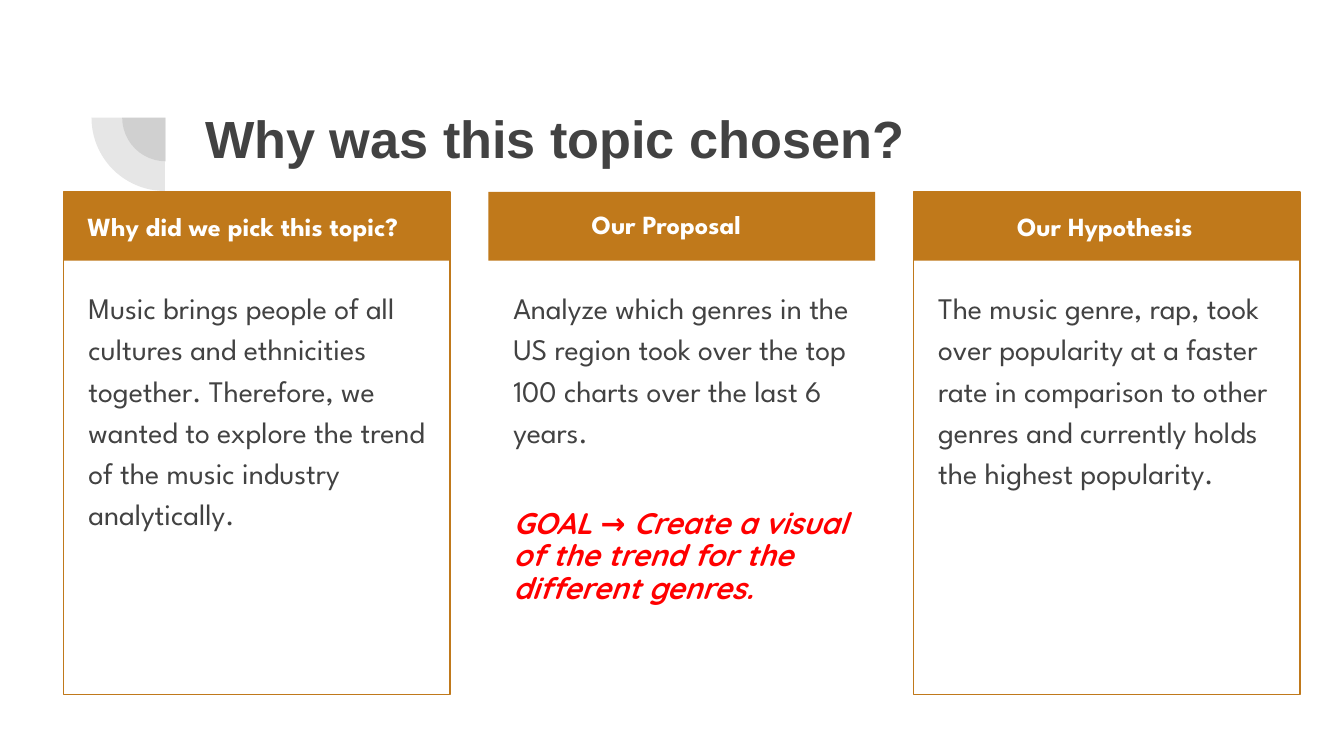
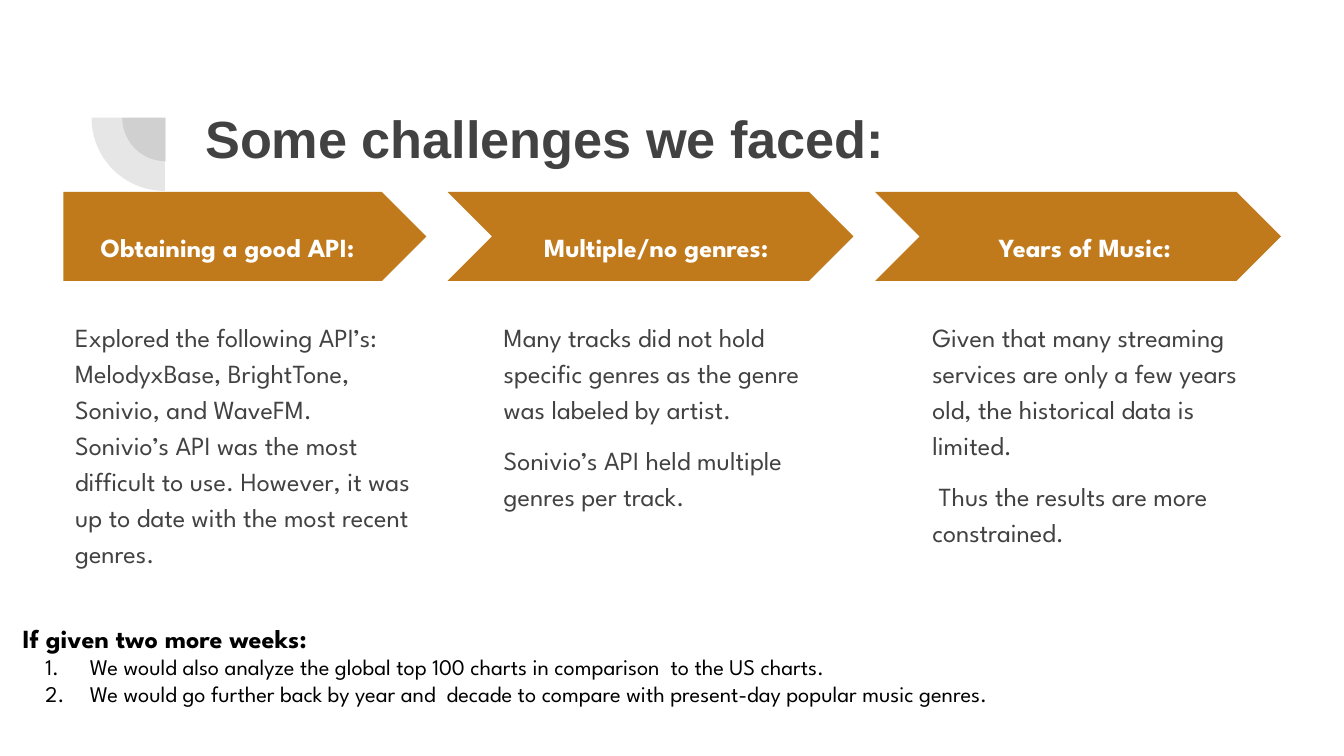
from lxml import etree
from pptx import Presentation
from pptx import util as u
from pptx.dml.color import RGBColor
from pptx.enum import shapes, text
from pptx.oxml.ns import qn

COLORS = {"dark": "424242", "band": "C0791B", "white": "FFFFFF",
          "goal": "FF0000", "black": "000000"}
BODY_FONT = "League Spartan"
LEFT = text.PP_ALIGN.LEFT
CENTER = text.PP_ALIGN.CENTER
TOP = text.MSO_ANCHOR.TOP
MIDDLE = text.MSO_ANCHOR.MIDDLE
INSET = 0.25
BAND_TOP = 3.63


def color(name):
    """Return the palette colour of that name."""
    return RGBColor.from_string(COLORS[name])


def run(words, size, ink="dark", bold=False, italic=False, font=BODY_FONT):
    """Describe one run of text."""
    return {"words": words, "size": size, "ink": ink, "bold": bold,
            "italic": italic, "font": font}


def line(*runs, align=LEFT, spacing=1.15, before=0, after=0, numbered=False):
    """Describe one paragraph."""
    return {"runs": runs, "align": align, "spacing": spacing,
            "before": before, "after": after, "numbered": numbered}


class Deck:
    """Holds the shared style and the slide being built."""

    def __init__(self):
        """Open an empty widescreen presentation."""
        self.presentation = Presentation()
        self.presentation.slide_width = u.Cm(25.4)
        self.presentation.slide_height = u.Cm(14.29)
        self.slide = None
        self.free_bodies = []

    def new_slide(self, title, title_height):
        """Start a slide with its corner ornament and title."""
        layout = self.presentation.slide_layouts.get_by_name("Comparison")
        self.slide = self.presentation.slides.add_slide(layout)
        self.free_bodies = [shape for shape in self.slide.placeholders
                            if shape.placeholder_format.idx > 0]
        for left, top, size in ((2.31, 1.4, 1.65), (1.73, 0.84, 2.77)):
            self.quarter(left, top, size)
        shape = self.slide.shapes.title
        self.fill_text(shape, (3.63, 1.65, 19.53, title_height),
                       [line(run(title, 28, bold=True, font="Arial"), spacing=1)])
        shape.text_frame.margin_top = u.Cm(0.36)

    def block(self, kind, box, fill=None, outline=None):
        """Add a flat preset shape, filled or outlined."""
        shape = self.slide.shapes.add_shape(kind, *map(u.Cm, box))
        shape.shadow.inherit = False
        if fill:
            shape.fill.solid()
            shape.fill.fore_color.rgb = color(fill)
        else:
            shape.fill.background()
        if outline:
            shape.line.color.rgb = color(outline)
            shape.line.width = u.Pt(0.75)
        else:
            shape.line.fill.background()
        return shape

    def quarter(self, left, top, size):
        """Add a faint lower-left quarter of a disc."""
        shape = self.block(shapes.MSO_SHAPE.PIE, (left, top, size, size), "dark")
        shape.adjustments[0] = 54
        shape.adjustments[1] = 108
        tint = next(shape.element.iter(qn("a:srgbClr")))
        etree.SubElement(tint, qn("a:alpha"), val="13000")

    def text(self, box, lines, anchor=TOP):
        """Put text in the next free body placeholder, else in a text box."""
        if self.free_bodies:
            shape = self.free_bodies.pop(0)
            shape.element.getparent().append(shape.element)  # bring to front
        else:
            shape = self.slide.shapes.add_textbox(*map(u.Cm, box))
        self.fill_text(shape, box, lines, anchor)

    def fill_text(self, shape, box, lines, anchor=TOP):
        """Place a shape and fill in its paragraphs."""
        shape.left, shape.top, shape.width, shape.height = map(u.Cm, box)
        frame = shape.text_frame
        frame.word_wrap = True
        frame.auto_size = text.MSO_AUTO_SIZE.NONE
        frame.vertical_anchor = anchor
        frame.margin_left = frame.margin_right = u.Cm(INSET)
        frame.margin_top = frame.margin_bottom = u.Cm(INSET)
        for number, content in enumerate(lines):
            paragraph = frame.add_paragraph() if number else frame.paragraphs[0]
            self.fill_paragraph(paragraph, content)

    def fill_paragraph(self, paragraph, content):
        """Format one paragraph and add its runs."""
        paragraph.alignment = content["align"]
        paragraph.line_spacing = content["spacing"]
        paragraph.space_before = u.Pt(content["before"])
        paragraph.space_after = u.Pt(content["after"])
        properties = paragraph._p.get_or_add_pPr()
        numbered = content["numbered"]
        properties.set("marL", str(u.Cm(1.27 if numbered else 0)))
        properties.set("indent", str(u.Cm(-0.84 if numbered else 0)))
        if numbered:
            etree.SubElement(properties, qn("a:buFont"), typeface=BODY_FONT)
            etree.SubElement(properties, qn("a:buAutoNum"), type="arabicPeriod")
        else:
            etree.SubElement(properties, qn("a:buNone"))
        for item in content["runs"]:
            piece = paragraph.add_run()
            piece.text = item["words"]
            font = piece.font
            font.name = item["font"]
            font.size = u.Pt(item["size"])
            font.bold = item["bold"]
            font.italic = item["italic"]
            font.color.rgb = color(item["ink"])


def build_reasons(deck):
    """Build the slide of three cards about the topic."""
    deck.new_slide("Why was this topic chosen?", 1.57)
    goal = line(run("GOAL → Create a visual of the trend for the different genres.",
                    16, "goal", True, True, "Quicksand"), spacing=0.9, before=32)
    # heading, alignment, heading box (offset, top, width, height), framed, body
    cards = [
        ("Why did we pick this topic?", LEFT, (0.2, 3.63, 7.19, 1.42), True,
         [line(run("Music brings people of all cultures and ethnicities together. "
                   "Therefore, we wanted to explore the trend of the music "
                   "industry analytically.", 16), after=16)]),
        ("Our Proposal", CENTER, (0, 3.68, 6.73, 0.91), False,
         [line(run("Analyze which genres in the US region took over the top 100 "
                   "charts over the last 6 years.", 16)), goal]),
        ("Our Hypothesis", CENTER, (0.16, 3.63, 6.93, 1.27), True,
         [line(run("The music genre, rap, took over popularity at a faster rate "
                   "in comparison to other genres and currently holds the highest "
                   "popularity.", 16))]),
    ]
    rectangle = shapes.MSO_SHAPE.RECTANGLE
    for number, (heading, align, place, framed, body) in enumerate(cards):
        left = 1.2 + 8.03 * number
        offset, top, width, height = place
        deck.block(rectangle, (left, BAND_TOP, 7.31, 1.3), fill="band")
        if framed:
            deck.block(rectangle, (left, BAND_TOP, 7.31, 9.5), outline="band")
        spacing = 1.15 if framed else 1
        deck.text((left + offset, top, width, height),
                  [line(run(heading, 14, "white", True), align=align,
                        spacing=spacing)])
        deck.text((left + 0.22, 5.13, 6.88, 7.77), body)


def build_challenges(deck):
    """Build the slide of three arrows and the closing list."""
    deck.new_slide("Some challenges we faced:", 2.77)
    steps = [
        ("Obtaining a good API:", 8.28,
         ["Explored the following API’s: MelodyxBase, BrightTone, Sonivio, and "
          "WaveFM. Sonivio’s API was the most difficult to use. However, it was "
          "up to date with the most recent genres."]),
        ("Multiple/no genres:", 7.37,
         ["Many tracks did not hold specific genres as the genre was labeled by "
          "artist.", "Sonivio’s API held multiple genres per track."]),
        ("Years of Music:", 7.37,
         ["Given that many streaming services are only a few years old, the "
          "historical data is limited.",
          " Thus the results are more constrained."]),
    ]
    for number, (heading, height, body) in enumerate(steps):
        if number:
            arrow, left, width = shapes.MSO_SHAPE.CHEVRON, 0.38 + 8.08 * number, 7.67
        else:
            arrow, left, width = shapes.MSO_SHAPE.PENTAGON, 1.2, 6.86
        deck.block(arrow, (left, BAND_TOP, width, 1.68), fill="band")
        text_left = 1.17 + 8.1 * number
        deck.text((text_left, 4.19, 6.27, 0.86),
                  [line(run(heading, 14, "white", True), align=CENTER, after=8)],
                  MIDDLE)
        deck.text((text_left, 5.74, 6.86, height),
                  [line(run(words, 14), before=8 if index else 0,
                        after=8 if index else 0)
                   for index, words in enumerate(body)])
    plans = ["We would also analyze the global top 100 charts in comparison  to "
             "the US charts.",
             "We would go further back by year and  decade to compare with "
             "present-day popular music genres."]
    closing = [line(run("If given two more weeks:", 14, "black", True), spacing=1)]
    closing += [line(run(plan, 12, "black"), spacing=1, numbered=True)
                for plan in plans]
    deck.text((0.18, 11.51, 25.02, 2.77), closing)


deck = Deck()
build_reasons(deck)
build_challenges(deck)
deck.presentation.save("out.pptx")
